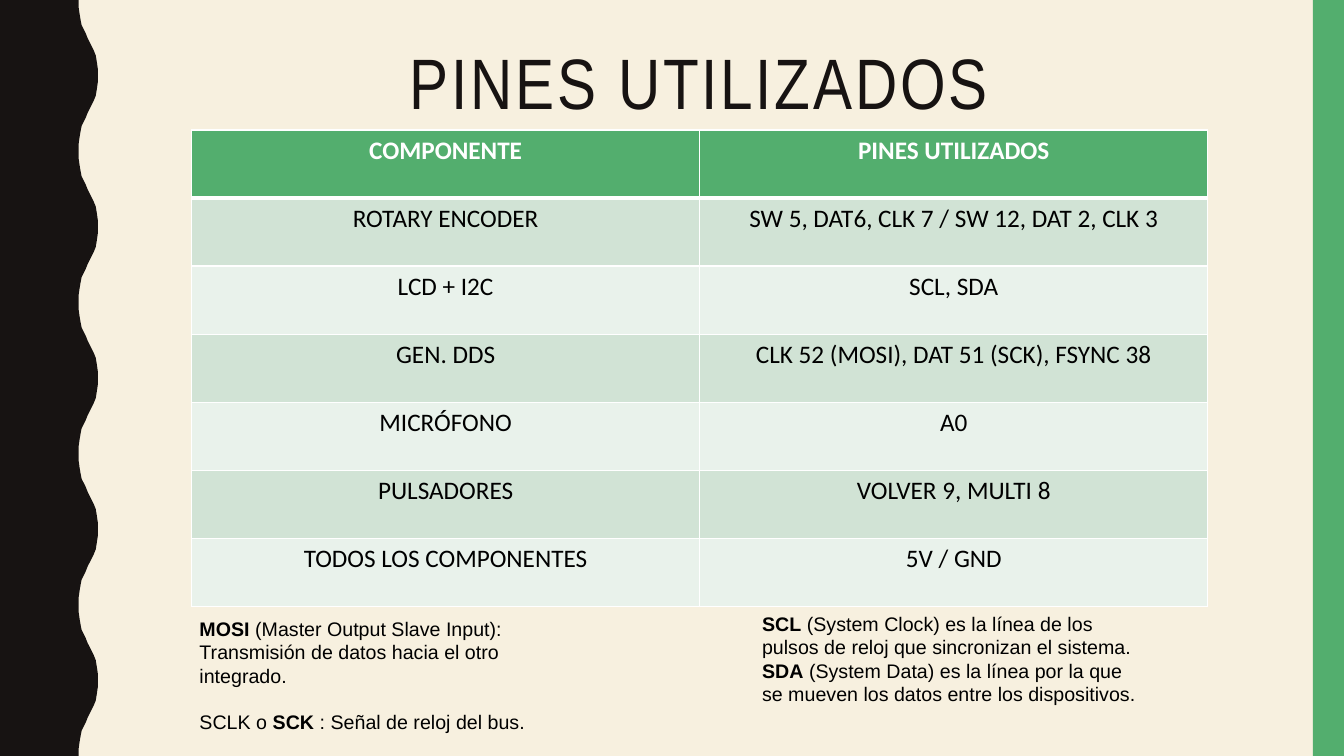
import pptx
import pptx.util
import pptx.dml.color
import pptx.enum.shapes
import pptx.enum.text
import pptx.oxml.ns
from lxml import etree

# Content
TITLE = "PINES UTILIZADOS"
ROWS = [
    ("COMPONENTE", "PINES UTILIZADOS"),
    ("ROTARY ENCODER", "SW 5, DAT6, CLK 7 / SW 12, DAT 2, CLK 3"),
    ("LCD + I2C", "SCL, SDA"),
    ("GEN. DDS", "CLK 52 (MOSI), DAT 51 (SCK), FSYNC 38"),
    ("MICRÓFONO", "A0"),
    ("PULSADORES", "VOLVER 9, MULTI 8"),
    ("TODOS LOS COMPONENTES", "5V / GND"),
]
# Each note: box, gap between paragraphs in points, paragraphs of (text, bold) runs
NOTES = [
    ((1.88, 6.07, 3.98, 1.28), 16, [
        [("MOSI ", True),
         ("(Master Output Slave Input): Transmisión de datos hacia el otro integrado.", False)],
        [("SCLK o ", False), ("SCK", True), (" : Señal de reloj del bus.", False)],
    ]),
    ((7.46, 6.02, 3.98, 1.04), 0, [
        [("SCL", True),
         (" (System Clock) es la línea de los pulsos de reloj que sincronizan el sistema.", False)],
        [("SDA", True),
         (" (System Data) es la línea por la que se mueven los datos entre los dispositivos.", False)],
    ]),
]
COLORS = {"cream": "F7F0DF", "ink": "171312", "green": "53AE6E", "band": "D1E3D5",
          "pale": "E9F2EB", "white": "FFFFFF", "black": "000000"}

# Layout, in inches
WIDTH, HEIGHT = 13.33, 7.5
STRIPE_WIDTH = 0.31
TITLE_BOX = (1.37, 0.42, 11.13, 0.87)
TABLE_LEFT, TABLE_TOP, COLUMN_WIDTH, ROW_HEIGHT = 1.9, 1.29, 5.04, 0.675
# Rising half of one wave, in hundredths of an inch; the falling half mirrors it
WAVE_PERIOD, WAVE_COUNT = 150, 5
HALF_WAVE = [(78, 0), (78, 7), (79, 14), (80, 20), (81, 25), (83, 29), (85, 33), (87, 38),
             (89, 42), (91, 46), (93, 50), (95, 55), (96, 61), (97, 68), (97, 75)]


def color(name):
    return pptx.dml.color.RGBColor.from_string(COLORS[name])


def inches(values):
    return [pptx.util.Inches(value) for value in values]


def paint(shape, name):
    shape.fill.solid()
    shape.fill.fore_color.rgb = color(name)
    shape.line.fill.background()
    shape.shadow.inherit = False


def add_run(paragraph, text, font, size, name, bold=False):
    run = paragraph.add_run()
    run.text = text
    run.font.name = font
    run.font.size = pptx.util.Pt(size)
    run.font.bold = bold
    run.font.color.rgb = color(name)
    return run


def add_borders(cell, bottom_width):
    properties = cell._tc.get_or_add_tcPr()
    widths = {"a:lnL": 1, "a:lnR": 1, "a:lnT": 1, "a:lnB": bottom_width}
    for position, (tag, width) in enumerate(widths.items()):
        line = etree.Element(pptx.oxml.ns.qn(tag), w=str(pptx.util.Pt(width)))
        fill = etree.SubElement(line, pptx.oxml.ns.qn("a:solidFill"))
        etree.SubElement(fill, pptx.oxml.ns.qn("a:srgbClr"), val=COLORS["white"])
        properties.insert(position, line)


def add_decoration(slide):
    wave = HALF_WAVE + [(x, WAVE_PERIOD - y) for x, y in reversed(HALF_WAVE[:-1])]
    edge = [(x, y + WAVE_PERIOD * index) for index in range(WAVE_COUNT) for x, y in wave]
    builder = slide.shapes.build_freeform(0, 0, scale=pptx.util.Inches(0.01))
    builder.add_line_segments(edge + [(0, WAVE_PERIOD * WAVE_COUNT)], close=True)
    paint(builder.convert_to_shape(), "ink")
    stripe = slide.shapes.add_shape(
        pptx.enum.shapes.MSO_SHAPE.RECTANGLE,
        *inches((WIDTH - STRIPE_WIDTH, 0, STRIPE_WIDTH, HEIGHT)))
    paint(stripe, "green")


def add_title(slide):
    title = slide.shapes.title
    title.left, title.top, title.width, title.height = inches(TITLE_BOX)
    frame = title.text_frame
    frame.auto_size = pptx.enum.text.MSO_AUTO_SIZE.NONE
    frame.vertical_anchor = pptx.enum.text.MSO_ANCHOR.MIDDLE
    paragraph = frame.paragraphs[0]
    paragraph.alignment = pptx.enum.text.PP_ALIGN.CENTER
    paragraph.line_spacing = 0.9
    run = add_run(paragraph, TITLE, "Arial Narrow", 51, "ink")
    run.font._element.set("spc", "200")


def add_pin_table(slide):
    columns = len(ROWS[0])
    table = slide.shapes.add_table(len(ROWS), columns, *inches(
        (TABLE_LEFT, TABLE_TOP, COLUMN_WIDTH * columns, ROW_HEIGHT * len(ROWS)))).table
    for row_index, texts in enumerate(ROWS):
        header = row_index == 0
        fill = "green" if header else ("pale", "band")[row_index % 2]
        for column_index, text in enumerate(texts):
            cell = table.cell(row_index, column_index)
            cell.fill.solid()
            cell.fill.fore_color.rgb = color(fill)
            add_borders(cell, 3 if header else 1)
            paragraph = cell.text_frame.paragraphs[0]
            paragraph.alignment = pptx.enum.text.PP_ALIGN.CENTER
            add_run(paragraph, text, "Calibri", 18, "white" if header else "black", header)


def add_note(slide, box, gap, paragraphs):
    frame = slide.shapes.add_textbox(*inches(box)).text_frame
    frame.word_wrap = True
    for index, runs in enumerate(paragraphs):
        paragraph = frame.add_paragraph() if index else frame.paragraphs[0]
        paragraph.space_before = pptx.util.Pt(gap if index else 0)
        for text, bold in runs:
            add_run(paragraph, text, "Arial", 14, "black", bold)


def main():
    presentation = pptx.Presentation()
    presentation.slide_width, presentation.slide_height = inches((WIDTH, HEIGHT))
    slide = presentation.slides.add_slide(presentation.slide_layouts.get_by_name("Title Only"))
    slide.background.fill.solid()
    slide.background.fill.fore_color.rgb = color("cream")
    add_decoration(slide)
    add_title(slide)
    add_pin_table(slide)
    for box, gap, paragraphs in NOTES:
        add_note(slide, box, gap, paragraphs)
    presentation.save("out.pptx")


if __name__ == "__main__":
    main()
